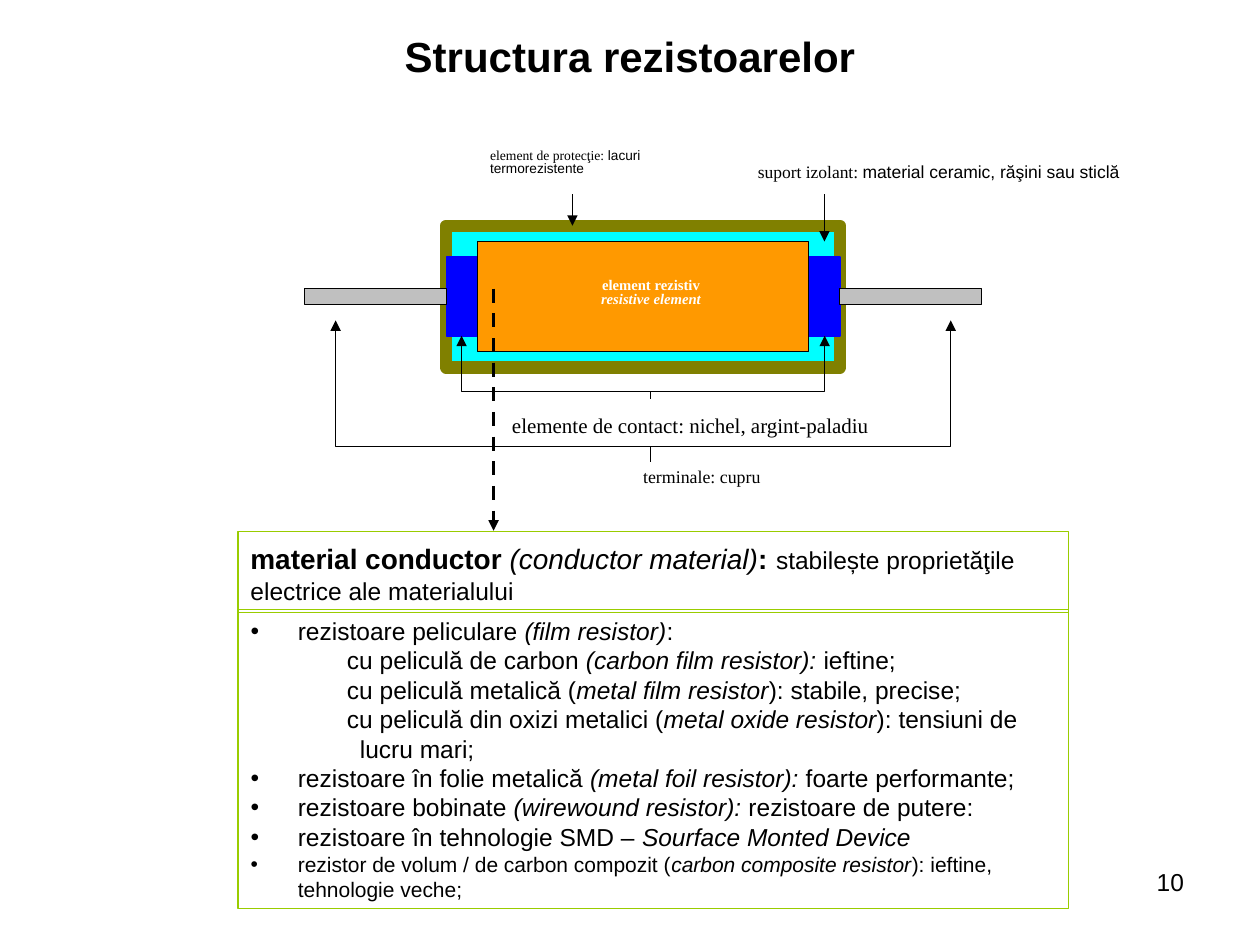
from lxml import etree
from pptx import Presentation
from pptx.dml.color import RGBColor
from pptx.enum.dml import MSO_LINE
from pptx.enum.shapes import MSO_CONNECTOR, MSO_SHAPE
from pptx.enum.text import MSO_ANCHOR, MSO_AUTO_SIZE, PP_ALIGN
from pptx.oxml.ns import qn
from pptx.util import Cm, Pt

RECT, STRAIGHT = MSO_SHAPE.RECTANGLE, MSO_CONNECTOR.STRAIGHT
LEFT, MID, RIGHT = PP_ALIGN.LEFT, PP_ALIGN.CENTER, PP_ALIGN.RIGHT
TOP, CENTER = MSO_ANCHOR.TOP, MSO_ANCHOR.MIDDLE
FIXED, DASH = MSO_AUTO_SIZE.NONE, MSO_LINE.DASH
SANS, SERIF = "Arial", "Times New Roman"
BLACK, WHITE, GREEN = "000000", "FFFFFF", "99CC00"

# Asterisks switch italics on and off: (level, size, text)
ITEMS = [
    (0, 14, "rezistoare peliculare *(film resistor)*:"),
    (1, 14, "cu peliculă de carbon *(carbon film resistor):* ieftine;"),
    (1, 14, "cu peliculă metalică (*metal film resistor*): stabile, precise;"),
    (1, 14, "cu peliculă din oxizi metalici (*metal oxide resistor*): "
            "tensiuni de lucru mari;"),
    (0, 14, "rezistoare în folie metalică *(metal foil resistor):* "
            "foarte performante;"),
    (0, 14, "rezistoare bobinate *(wirewound resistor):* rezistoare de putere:"),
    (0, 14, "rezistoare în tehnologie SMD – *Sourface Monted Device*"),
    (0, 12, "rezistor de volum / de carbon compozit "
            "(*carbon composite resistor*): ieftine, tehnologie veche;"),
]


def paint(color, code):
    color.rgb = RGBColor.from_string(code)


def style(par, size, face=SANS, code=BLACK, bold=False):
    font = par.font
    font.size, font.name, font.bold = Pt(size), face, bold
    paint(font.color, code)


def stroke(line, code, width):
    paint(line.color, code)
    line.width = Pt(width)


def place(shape, x, y, w, h):
    shape.left, shape.top, shape.width, shape.height = map(Cm, (x, y, w, h))


def frame(shape, anchor=TOP):
    text = shape.text_frame
    text.word_wrap, text.auto_size = True, FIXED
    text.vertical_anchor = anchor
    return text


def text_box(slide, x, y, w, h):
    return frame(slide.shapes.add_textbox(*map(Cm, (x, y, w, h))))


def arrow(line):
    """Put a triangle at the far end of a line."""
    etree.SubElement(line._get_or_add_ln(), qn("a:tailEnd"), type="triangle")


def add_line(slide, x, top, end, width=0.75, dash=None):
    """Draw a downward arrow."""
    link = slide.shapes.add_connector(STRAIGHT, Cm(x), Cm(top), Cm(x), Cm(end))
    stroke(link.line, BLACK, width)
    if dash:
        link.line.dash_style = dash
    arrow(link.line)
    etree.SubElement(link._element.spPr, qn("a:effectLst"))


def add_path(slide, points):
    points = [(Cm(x), Cm(y)) for x, y in points]
    form = slide.shapes.build_freeform(*points[0], scale=1.0)
    form.add_line_segments(points[1:], close=False)
    shape = form.convert_to_shape()
    shape.shadow.inherit = False
    shape.fill.background()
    stroke(shape.line, BLACK, 0.75)
    arrow(shape.line)


def add_part(slide, cx, cy, w, h, fill, edge, width):
    """Draw a part of the resistor around its centre."""
    part = slide.shapes.add_shape(
        RECT, Cm(cx - w / 2), Cm(cy - h / 2), Cm(w), Cm(h))
    part.shadow.inherit = False
    part.fill.solid()
    paint(part.fill.fore_color, fill)
    stroke(part.line, edge, width)


def add_label(slide, x, y, w, h, size, runs, align=LEFT, space=1.0):
    par = text_box(slide, x, y, w, h).paragraphs[0]
    par.alignment, par.line_spacing = align, space
    style(par, size, SERIF)
    for words, face in runs:
        run = par.add_run()
        run.text, run.font.name = words, face


def add_body(slide, x, y):
    """Draw the resistor around the point x, y."""
    add_part(slide, x, y, 7.94, 2.86, "00FFFF", "808000", 7)
    for side in (-1, 1):
        add_part(slide, x + side * 3.65, y, 0.63, 1.59, "0000FF", "0000FF", 1)
    add_part(slide, x, y, 6.67, 2.22, "FF9900", BLACK, 0.75)
    for side in (-1, 1):
        add_part(slide, x + side * 5.39, y, 2.86, 0.32, "C0C0C0", BLACK, 0.75)
    text = text_box(slide, x - 2.7, y - 0.47, 5.72, 0.95)
    for n, words in enumerate(("element rezistiv", "resistive element")):
        par = text.add_paragraph() if n else text.paragraphs[0]
        par.text, par.alignment, par.line_spacing = words, MID, 0.8
        style(par, 8.4, SERIF, WHITE, True)
        par.font.italic = n == 1


def add_scheme(slide, x, y, w):
    mid = x + w / 2
    add_body(slide, mid, y + 3.08)
    add_label(slide, x + 3.81, y + 5.3, 7.94, 0.79, 12,
              [("elemente de contact: nichel, argint-paladiu", SERIF)], MID)
    add_label(slide, x + 5.71, y + 6.42, 4.6, 0.71, 10.2,
              [("terminale: cupru", SERIF)], MID, 0.9)
    add_label(slide, x + 8.89, y + 0.22, 8.23, 0.81, 10,
              [("suport izolant: ", SERIF),
               ("material ceramic, răşini sau sticlă", SANS)])
    add_label(slide, x + 3.49, y, 4.45, 0.94, 7.8,
              [("element de protecţie: ", SERIF),
               ("lacuri termorezistente", SANS)], space=0.8)
    stem = x + 6.98
    for reach, low, bar, tip in ((6.2, 6.41, 6.1, 3.56),
                                 (3.66, 5.14, 5.0, 3.87)):
        for end in (mid - reach, mid + reach):
            add_path(slide, [(stem, y + low), (stem, y + bar),
                             (end, y + bar), (end, y + tip)])
    add_line(slide, x + 5.4, y + 1.02, y + 1.65)
    add_line(slide, x + 10.48, y + 1.02, y + 1.97)
    add_line(slide, x + 3.81, y + 2.92, y + 7.8, 2, DASH)


def add_item(par, level, size, words):
    par.level, par.space_before = level, Pt(0)
    props = par._p.get_or_add_pPr()
    margin, indent = ((0.95, -0.95), (2.2, -0.26))[level]
    props.set("marL", str(Cm(margin)))
    props.set("indent", str(Cm(indent)))
    if level:
        etree.SubElement(props, qn("a:buNone"))
    else:
        etree.SubElement(props, qn("a:buChar"), char="•")
    style(par, size)
    for n, piece in enumerate(words.split("*")):
        if piece:
            run = par.add_run()
            run.text, run.font.italic = piece, n % 2 == 1


def add_notes(slide, x, y, w):
    """Place the framed heading and the list below it."""
    body = slide.placeholders[1]
    place(body, x, y + 1.57, w, 6.02)
    stroke(body.line, GREEN, 0.75)
    text = frame(body)
    for n, item in enumerate(ITEMS):
        add_item(text.add_paragraph() if n else text.paragraphs[0], *item)

    head = slide.shapes.add_textbox(*map(Cm, (x, y, w, 1.63)))
    stroke(head.line, GREEN, 0.75)
    par = frame(head).paragraphs[0]
    style(par, 16)
    for words, size, bold, slant in (
            ("material conductor ", 16, True, False),
            ("(conductor material)", 16, False, True),
            (":", 16, True, False),
            (" ", 18, True, False),
            ("stabilește proprietăţile electrice ale materialului",
             14, False, False)):
        run = par.add_run()
        run.text, run.font.size = words, Pt(size)
        run.font.bold, run.font.italic = bold, slant


def add_title(slide, x, y, w, h):
    title = slide.shapes.title
    place(title, x, y, w, h)
    par = frame(title, CENTER).paragraphs[0]
    par.text, par.alignment = "Structura rezistoarelor", MID
    style(par, 24, bold=True)


def add_number(slide, x, y, w, h):
    par = text_box(slide, x, y, w, h).paragraphs[0]
    par.text, par.alignment = "10", RIGHT
    style(par, 14)


def main():
    deck = Presentation()
    deck.slide_width, deck.slide_height = Cm(25.4), Cm(19.05)
    slide = deck.slides.add_slide(deck.slide_layouts[1])
    add_title(slide, 1.27, 0.33, 22.86, 1.57)
    add_scheme(slide, 6.14, 2.9, 13.65)
    add_notes(slide, 4.8, 10.72, 16.74)
    add_number(slide, 18.2, 17.35, 5.92, 1.32)
    deck.save("out.pptx")


if __name__ == "__main__":
    main()
